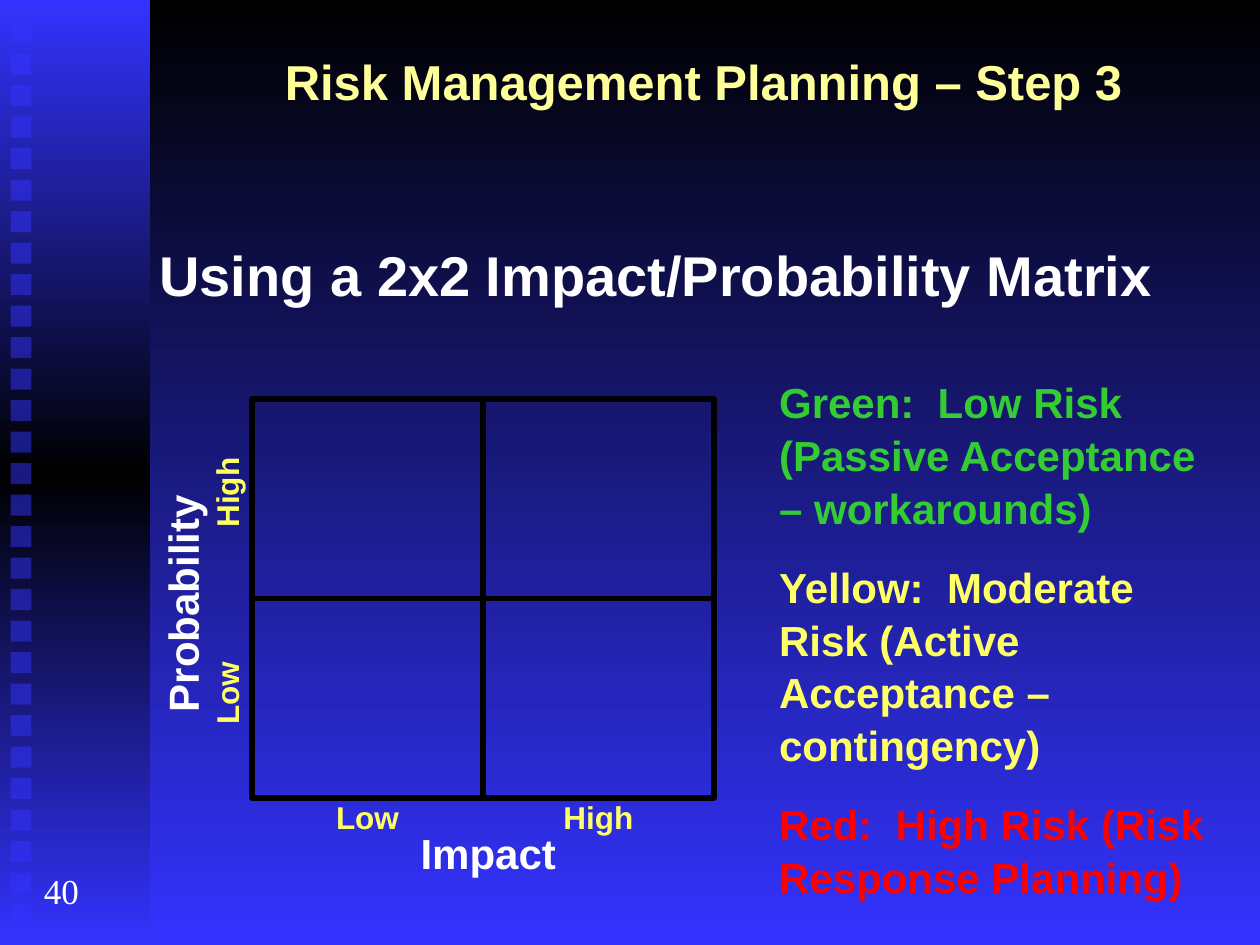
from copy import deepcopy
from pptx import Presentation
from pptx.dml.color import RGBColor
from pptx.enum.shapes import MSO_SHAPE as Preset
from pptx.enum.text import MSO_ANCHOR as Anchor, MSO_AUTO_SIZE as AutoSize, PP_ALIGN as Align
from pptx.oxml.ns import qn
from pptx.oxml.xmlchemy import OxmlElement as Element
from pptx.util import Pt

COLORS = {
    "black": "000000", "blue": "3333FF", "white": "FFFFFF", "cream": "FFFF99",
    "yellow": "FFFF66", "green": "33CC33", "red": "FF0000",
}


def color(name):
    """Return the palette colour of that name."""
    return RGBColor.from_string(COLORS[name])


class RiskSlide:
    """Draws the elements of one slide in a shared style."""

    font = "Arial"

    def __init__(self, deck):
        self.slide = deck.slides.add_slide(deck.slide_layouts[1])
        self.shapes = self.slide.shapes

    def shade(self, fill, start, end):
        fill.gradient()
        fill.gradient_angle = 270
        for stop, name, position in zip(fill.gradient_stops, (start, end), (0, 1)):
            stop.color.rgb = color(name)
            stop.position = position

    def background(self, start, end):
        self.shade(self.slide.background.fill, start, end)

    def box(self, left, top, width, height):
        box = self.shapes.add_shape(
            Preset.RECTANGLE, Pt(left), Pt(top), Pt(width), Pt(height))
        box.shadow.inherit = False
        box.fill.background()
        box.line.fill.background()
        return box

    def sidebar(self, width, height, edge, middle):
        band = self.box(0, 0, width, height)
        self.shade(band.fill, edge, edge)
        stops = band.element.spPr.find(qn("a:gradFill")).find(qn("a:gsLst"))
        stops.insert(1, deepcopy(stops[0]))
        center = band.fill.gradient_stops[1]
        center.color.rgb = color(middle)
        center.position = 0.5

    def square(self, left, top, side, name, opacity):
        square = self.box(left, top, side, side)
        square.fill.solid()
        square.fill.fore_color.rgb = color(name)
        alpha = Element("a:alpha")
        alpha.set("val", str(opacity * 1000))
        square.element.spPr.find(qn("a:solidFill"))[0].append(alpha)

    def quadrant(self, left, top, width, height):
        line = self.box(left, top, width, height).line
        line.color.rgb = color("black")
        line.width = Pt(3)

    def set_lines(self, holder, area, lines, size, align=Align.LEFT, font=font, bold=True):
        holder.left, holder.top, holder.width, holder.height = map(Pt, area)
        frame = holder.text_frame
        frame.text = "\n".join(text for text, _ in lines)
        frame.word_wrap = True
        frame.auto_size = AutoSize.NONE
        frame.vertical_anchor = Anchor.TOP
        for paragraph, (_, name) in zip(frame.paragraphs, lines):
            paragraph.alignment = align
            paragraph.space_before = Pt(size * 0.625)
            paragraph.line_spacing = 1.05
            for run in paragraph.runs:
                run.font.size = Pt(size)
                run.font.name = font
                run.font.bold = bold
                run.font.color.rgb = color(name)

    def title(self, text, area):
        self.set_lines(self.shapes.title, area, [(text, "cream")], 28, Align.CENTER)

    def legend(self, entries, area):
        body = self.slide.placeholders[1]
        self.set_lines(body, area, entries, 24)
        for paragraph in body.text_frame.paragraphs:
            properties = paragraph._p.get_or_add_pPr()
            properties.set("marL", "0")
            properties.set("indent", "0")
            properties.append(Element("a:buNone"))

    def label(self, text, area, size, name="white", rotation=0, **style):
        label = self.shapes.add_textbox(0, 0, 0, 0)
        self.set_lines(label, area, [(text, name)], size, **style)
        label.rotation = rotation


def main():
    deck = Presentation()
    deck.slide_width, deck.slide_height = Pt(720), Pt(540)
    risk = RiskSlide(deck)
    risk.background("black", "blue")
    risk.sidebar(85.7, 540, "blue", "black")
    for row in range(29):
        risk.square(6, 12.7 + 18 * row, 12, "blue", 50)

    risk.title("Risk Management Planning – Step 3", (96, 24, 612, 41))
    risk.label("40", (18, 492, 36, 31.5), 20, font="Times New Roman", bold=False)

    centered = {"align": Align.CENTER}
    risk.label("Impact", (204, 468, 150, 36), 24, **centered)
    risk.label("Probability", (27.4, 327, 150.5, 36), 24, rotation=270, **centered)
    levels = [
        ("Low", (86.5, 381.6, 84, 29), 270),
        ("High", (92.5, 267, 72, 29), 270),
        ("Low", (168, 451.5, 84, 29), 0),
        ("High", (306, 451.5, 72, 29), 0),
    ]
    for level, area, rotation in levels:
        risk.label(level, area, 18, "yellow", rotation, **centered)

    for row in range(2):
        for column in range(2):
            risk.quadrant(144 + 132 * column, 228 + 114 * row, 132, 114)

    risk.legend([
        ("Green:  Low Risk (Passive Acceptance – workarounds)", "green"),
        ("Yellow:  Moderate Risk (Active Acceptance – contingency)", "yellow"),
        ("Red:  High Risk (Risk Response Planning)", "red"),
    ], (438, 210, 270, 297))
    risk.label("Using a 2x2 Impact/Probability Matrix", (84, 132, 624, 46), 32)
    deck.save("out.pptx")


if __name__ == "__main__":
    main()
